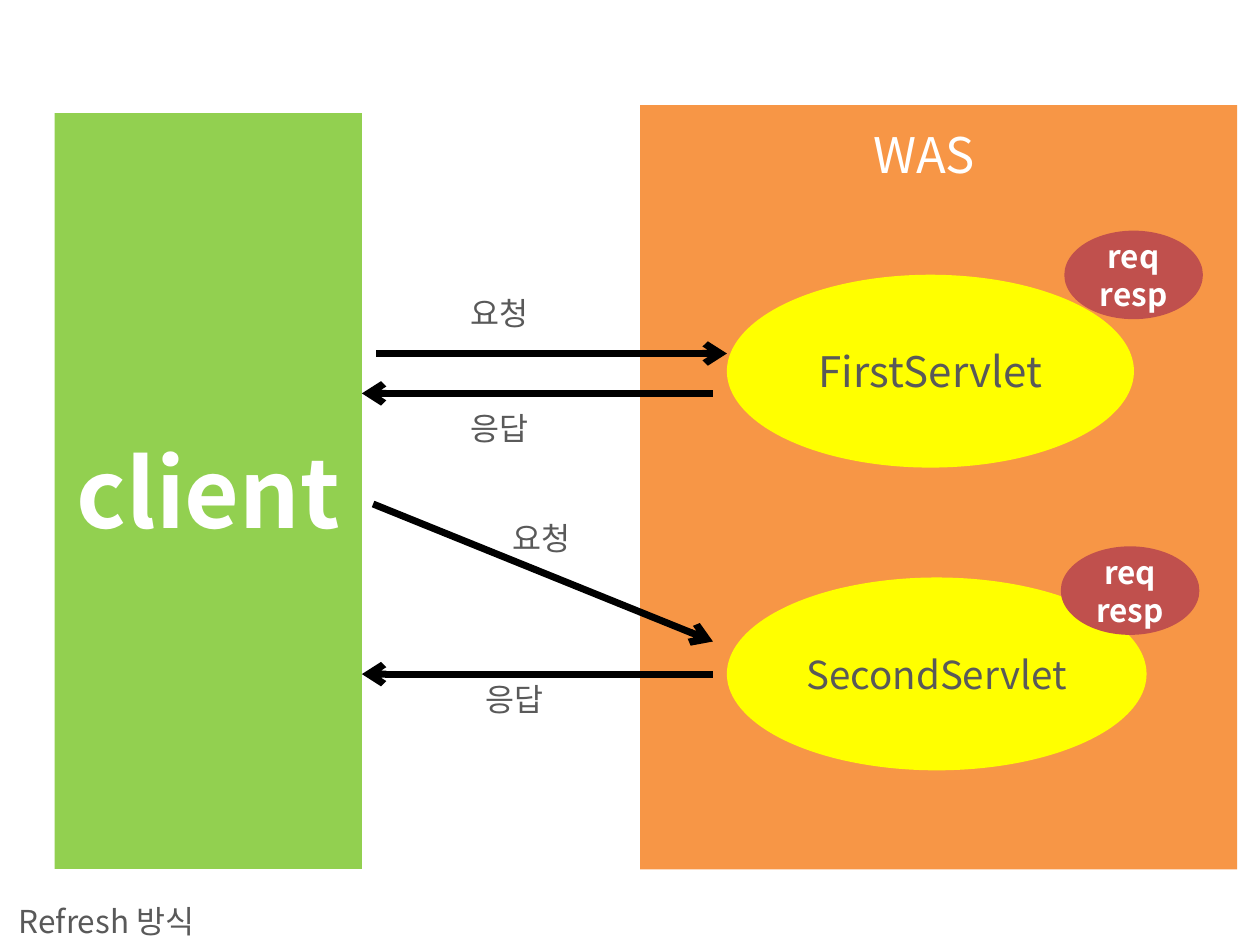
from pptx import Presentation
from pptx.dml.color import RGBColor
from pptx.enum.shapes import MSO_CONNECTOR, MSO_SHAPE
from pptx.enum.text import MSO_ANCHOR, MSO_AUTO_SIZE, PP_ALIGN
from pptx.oxml.ns import qn
from pptx.util import Pt
from lxml.etree import SubElement

FONT = "Noto Sans CJK KR"
WHITE = RGBColor(0xFF, 0xFF, 0xFF)
BLACK = RGBColor(0, 0, 0)
GRAY = RGBColor(0x59, 0x59, 0x59)
GREEN = RGBColor(0x92, 0xD0, 0x50)
ORANGE = RGBColor(0xF7, 0x96, 0x46)
YELLOW = RGBColor(0xFF, 0xFF, 0)
RED = RGBColor(0xC0, 0x50, 0x4D)

deck = Presentation()
deck.slide_width, deck.slide_height = Pt(720), Pt(540)
slide = deck.slides.add_slide(deck.slide_layouts[6])


def write(frame, lines, size, color, bold=False, align=PP_ALIGN.LEFT):
    for i, line in enumerate(lines):
        para = frame.add_paragraph() if i else frame.paragraphs[0]
        para.alignment = align
        run = para.add_run()
        run.text = line
        font = run.font
        font.name, font.size, font.bold = FONT, Pt(size), bold
        font.color.rgb = color
        SubElement(run._r.get_or_add_rPr(), qn("a:ea")).set("typeface", FONT)


def block(kind, box, fill, lines=(), size=18, color=WHITE, bold=False):
    shape = slide.shapes.add_shape(kind, *map(Pt, box))
    shape.shadow.inherit = False
    shape.fill.solid()
    shape.fill.fore_color.rgb = fill
    shape.line.fill.background()
    frame = shape.text_frame
    frame.word_wrap = True
    frame.vertical_anchor = MSO_ANCHOR.MIDDLE
    write(frame, lines, size, color, bold, PP_ALIGN.CENTER)


block(MSO_SHAPE.RECTANGLE, (31.2, 64.6, 175.6, 432), GREEN, ["client"], 54, bold=True)
block(MSO_SHAPE.RECTANGLE, (365.8, 60, 341.2, 436.8), ORANGE)

servlets = [
    ("FirstServlet", 157, 232.6, 24),
    ("SecondServlet", 330, 239.8, 22),
]
for name, top, width, size in servlets:
    block(MSO_SHAPE.OVAL, (415.4, top, width, 110.2), YELLOW, [name], size, GRAY)

for left, top in [(608.2, 131.8), (606.2, 312.2)]:
    block(MSO_SHAPE.OVAL, (left, top, 79.2, 50.6), RED, ["req", "resp"], bold=True)

arrows = [
    (215, 202, 415.4, 202),
    (407.4, 224.8, 206.8, 224.8),
    (213.2, 288, 407.4, 366.6),
    (407.4, 385.2, 206.8, 385.2),
]
for ends in arrows:
    arrow = slide.shapes.add_connector(MSO_CONNECTOR.STRAIGHT, *map(Pt, ends))
    arrow.line.color.rgb = BLACK
    arrow.line.width = Pt(4)
    SubElement(arrow.line._get_or_add_ln(), qn("a:tailEnd")).set("type", "arrow")
    SubElement(arrow._element.spPr, qn("a:effectLst"))

labels = [
    ("WAS", 491.8, 67.6, 79.2, 41, 28, WHITE),
    ("요청", 262, 164.2, 79.2, 29, 18, GRAY),
    ("응답", 262, 230.4, 79.2, 29, 18, GRAY),
    ("요청", 285.8, 293, 79.2, 29, 18, GRAY),
    ("응답", 270.6, 385.2, 79.2, 29, 18, GRAY),
    ("Refresh 방식", 3.6, 512, 161.2, 29, 18, GRAY),
]
for text, left, top, width, height, size, color in labels:
    label = slide.shapes.add_textbox(Pt(left), Pt(top), Pt(width), Pt(height))
    label.text_frame.word_wrap = True
    label.text_frame.auto_size = MSO_AUTO_SIZE.SHAPE_TO_FIT_TEXT
    write(label.text_frame, [text], size, color)

deck.save("out.pptx")
